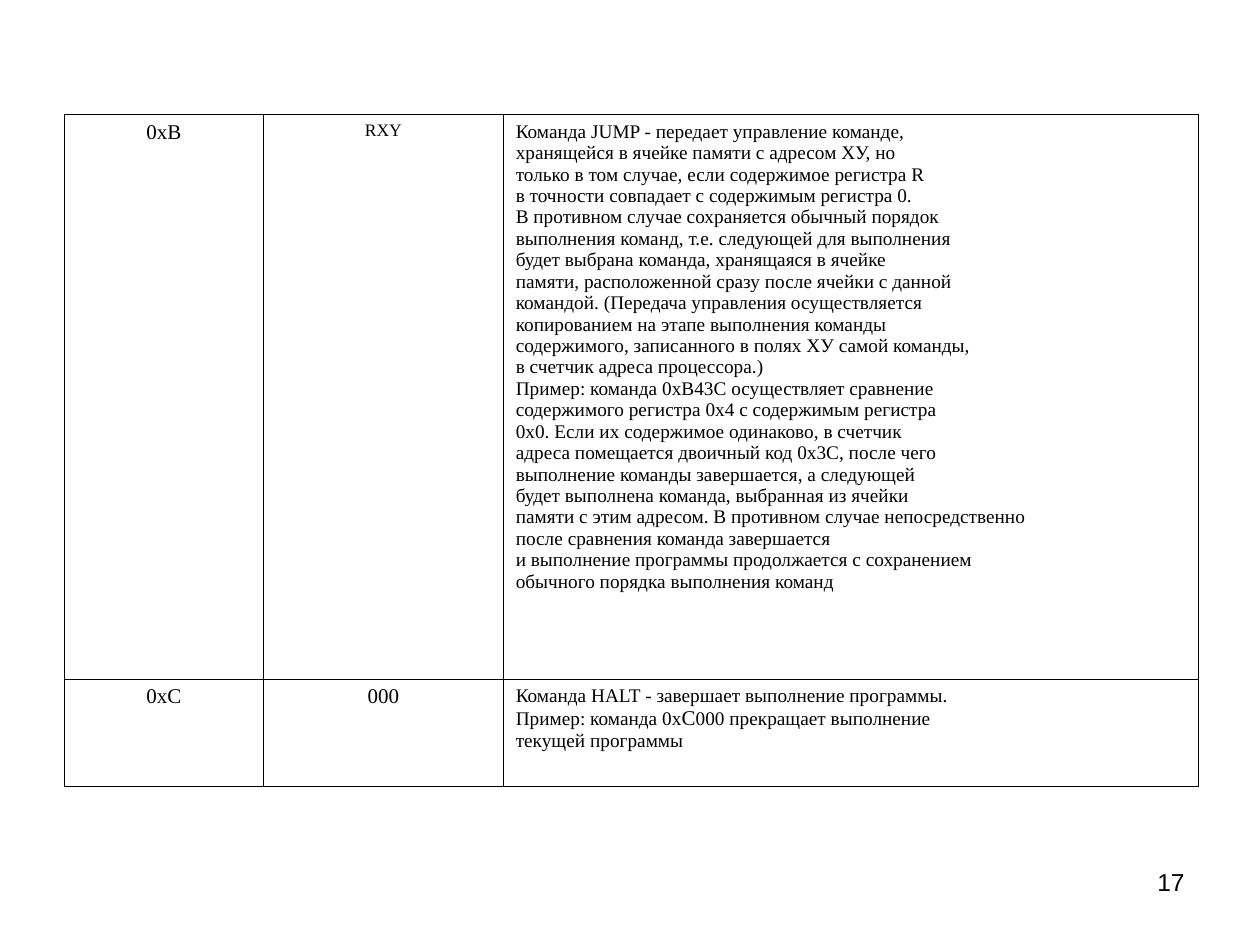
from dataclasses import dataclass

from lxml.etree import SubElement
from pptx import Presentation
from pptx.dml.color import RGBColor
from pptx.enum.text import MSO_ANCHOR, PP_ALIGN as Align
from pptx.oxml.ns import qn
from pptx.util import Inches, Pt


@dataclass(frozen=True)
class Theme:
    ink: RGBColor = RGBColor(0, 0, 0)
    table_font: str = "Times New Roman"
    number_font: str = "Arial"
    code: int = 12
    operand: int = 10
    body: int = 11
    number: int = 14
    border: float = 0.45


THEME = Theme()
COLUMNS = (1.58, 1.9, 5.51)
ROWS = (4.47, 0.85)
HANGING = Inches(0.38)

JUMP = [
    "Команда JUMP - передает управление команде,",
    "хранящейся в ячейке памяти с адресом ХУ, но",
    "только в том случае, если содержимое регистра R",
    "в точности совпадает с содержимым регистра 0.",
    "В противном случае сохраняется обычный порядок",
    "выполнения команд, т.е. следующей для выполнения",
    "будет выбрана команда, хранящаяся в ячейке",
    "памяти, расположенной сразу после ячейки с данной",
    "командой. (Передача управления осуществляется",
    "копированием на этапе выполнения команды",
    "содержимого, записанного в полях ХУ самой команды,",
    "в счетчик адреса процессора.)",
    "Пример: команда 0хB43C осуществляет сравнение",
    "содержимого регистра 0х4 с содержимым регистра",
    "0х0. Если их содержимое одинаково, в счетчик",
    "адреса помещается двоичный код 0х3C, после чего",
    "выполнение команды завершается, а следующей",
    "будет выполнена команда, выбранная из ячейки",
    "памяти с этим адресом. В противном случае непосредственно",
    "после сравнения команда завершается",
    "и выполнение программы продолжается с сохранением",
    "обычного порядка выполнения команд",
]


def line(text, size=THEME.body):
    """A paragraph made of a single run."""
    return [(text, size)]


# Each cell is a list of paragraphs, each paragraph a list of (text, size) runs
COMMANDS = [
    [
        [line("0хB", THEME.code)],
        [line("RXY", THEME.operand)],
        [line(text) for text in JUMP],
    ],
    [
        [line("0хC", THEME.code)],
        [line("000", THEME.code)],
        [
            line("Команда HALT - завершает выполнение программы."),
            [("Пример: команда 0х", THEME.body), ("C", THEME.code),
             ("000 прекращает выполнение", THEME.body)],
            line("текущей программы"),
        ],
    ],
]


def add_run(paragraph, text, size, font):
    run = paragraph.add_run()
    run.text = text
    run.font.size = Pt(size)
    run.font.name = font
    run.font.color.rgb = THEME.ink


def set_borders(cell):
    properties = cell._tc.get_or_add_tcPr()
    for side in ("lnL", "lnR", "lnT", "lnB"):
        border = SubElement(properties, qn(f"a:{side}"), w=str(Pt(THEME.border)))
        fill = SubElement(border, qn("a:solidFill"))
        SubElement(fill, qn("a:srgbClr"), val=str(THEME.ink))


def fill_cell(cell, paragraphs, alignment):
    set_borders(cell)
    cell.fill.background()
    cell.vertical_anchor = MSO_ANCHOR.TOP
    cell.margin_left = cell.margin_right = Inches(0.1)
    cell.margin_top = cell.margin_bottom = Inches(0.05)
    frame = cell.text_frame
    for index, runs in enumerate(paragraphs):
        paragraph = frame.add_paragraph() if index else frame.paragraphs[0]
        paragraph.alignment = alignment
        properties = paragraph._p.get_or_add_pPr()
        properties.set("marL", str(HANGING))
        properties.set("indent", str(-HANGING))
        for text, size in runs:
            add_run(paragraph, text, size, THEME.table_font)


def add_command_table(slide, left, top, width, height):
    table = slide.shapes.add_table(
        len(ROWS), len(COLUMNS), left, top, width, height).table
    table.first_row = table.horz_banding = False
    for column, share in zip(table.columns, COLUMNS):
        column.width = int(width * share / sum(COLUMNS))
    for row, share in zip(table.rows, ROWS):
        row.height = int(height * share / sum(ROWS))
    alignments = (Align.CENTER, Align.CENTER, Align.LEFT)
    for row, contents in zip(table.rows, COMMANDS):
        for cell, paragraphs, alignment in zip(row.cells, contents, alignments):
            fill_cell(cell, paragraphs, alignment)


def add_page_number(slide, left, top, width, height):
    frame = slide.shapes.add_textbox(left, top, width, height).text_frame
    frame.word_wrap = True
    paragraph = frame.paragraphs[0]
    paragraph.alignment = Align.RIGHT
    add_run(paragraph, "17", THEME.number, THEME.number_font)


def main():
    presentation = Presentation()
    presentation.slide_width = Inches(10)
    presentation.slide_height = Inches(7.5)
    slide = presentation.slides.add_slide(presentation.slide_layouts[6])

    # Machine commands
    add_command_table(slide, Inches(0.51), Inches(0.91), Inches(9), Inches(5.33))
    # Page number
    add_page_number(slide, Inches(7.17), Inches(6.83), Inches(2.33), Inches(0.52))

    presentation.save("out.pptx")


if __name__ == "__main__":
    main()
